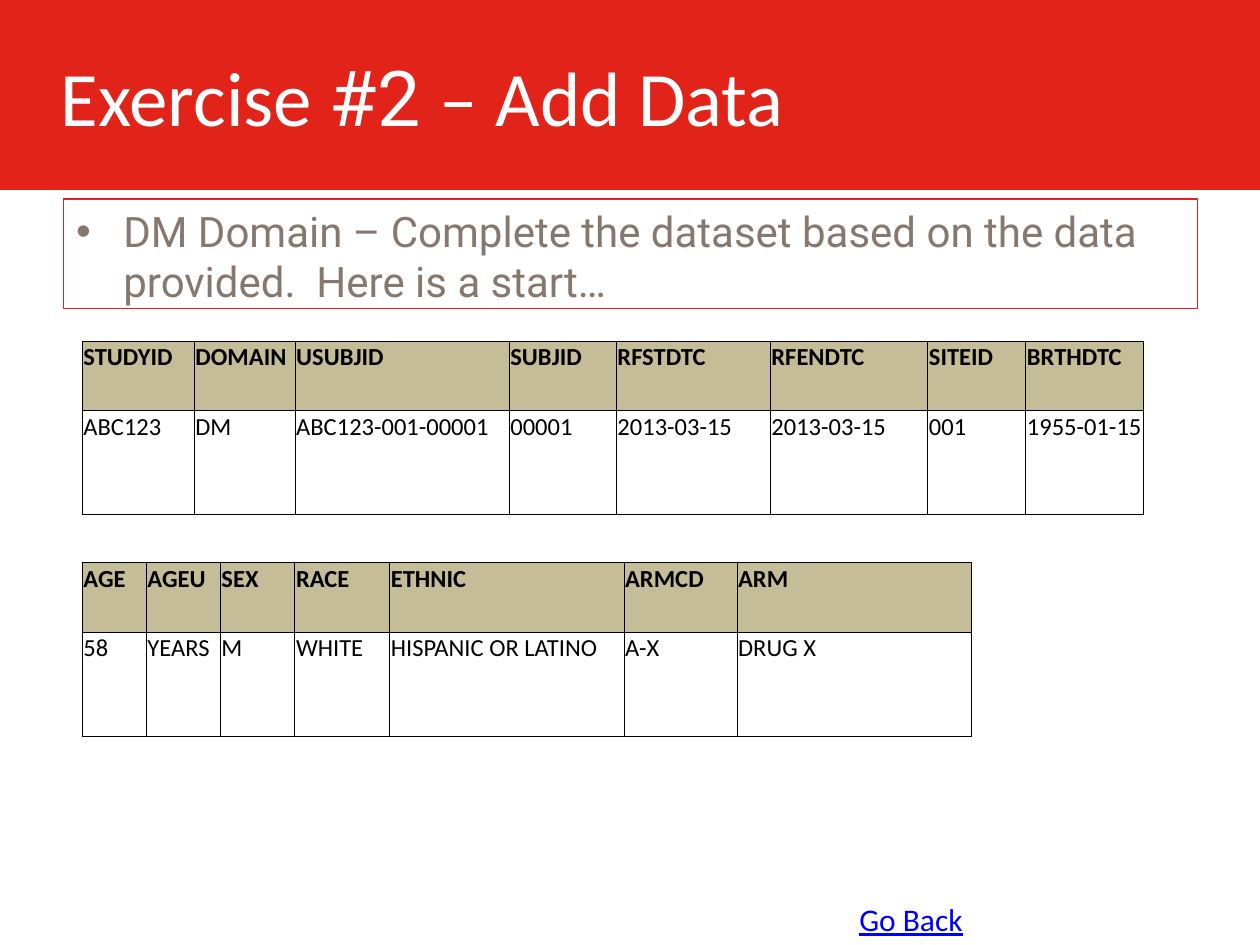
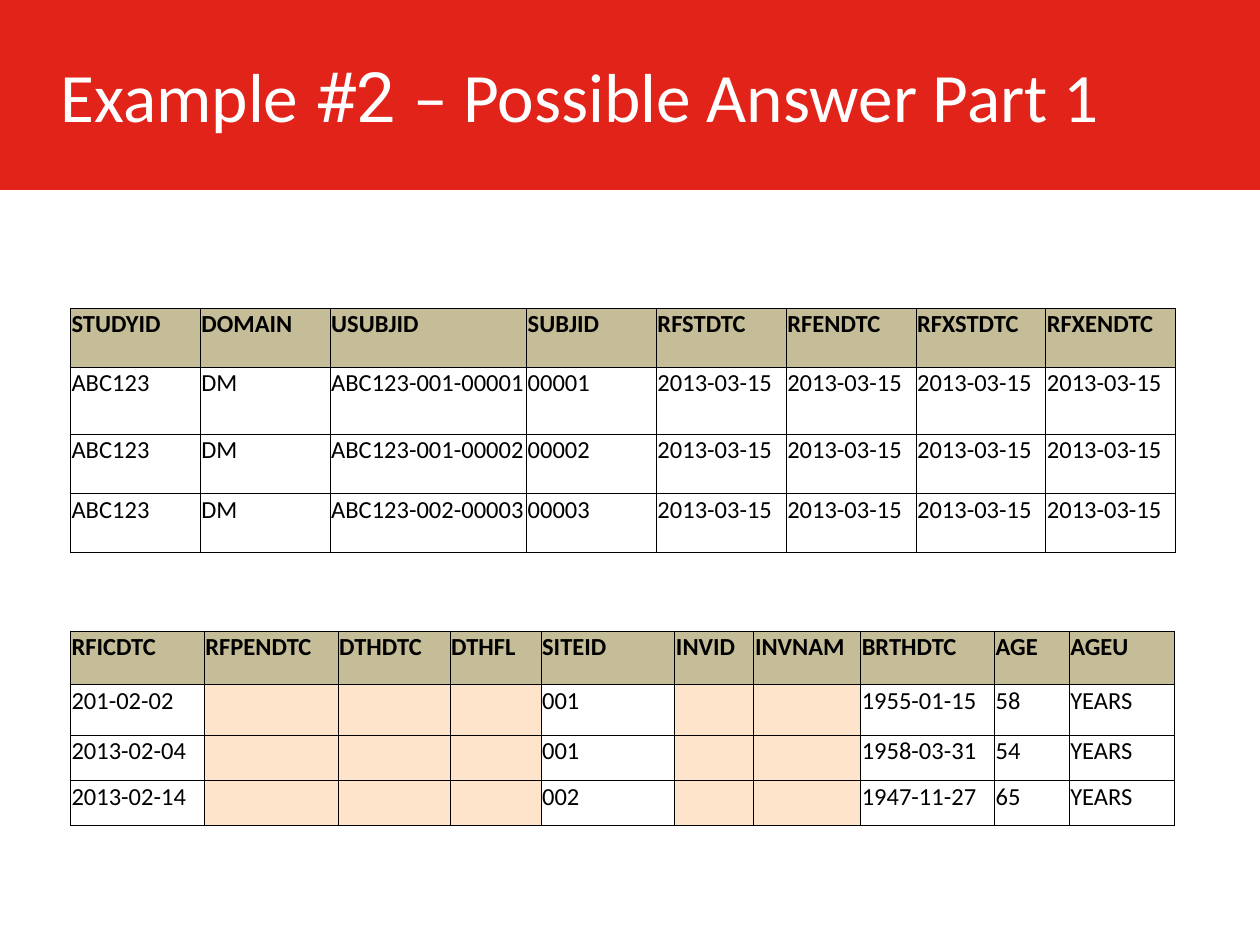
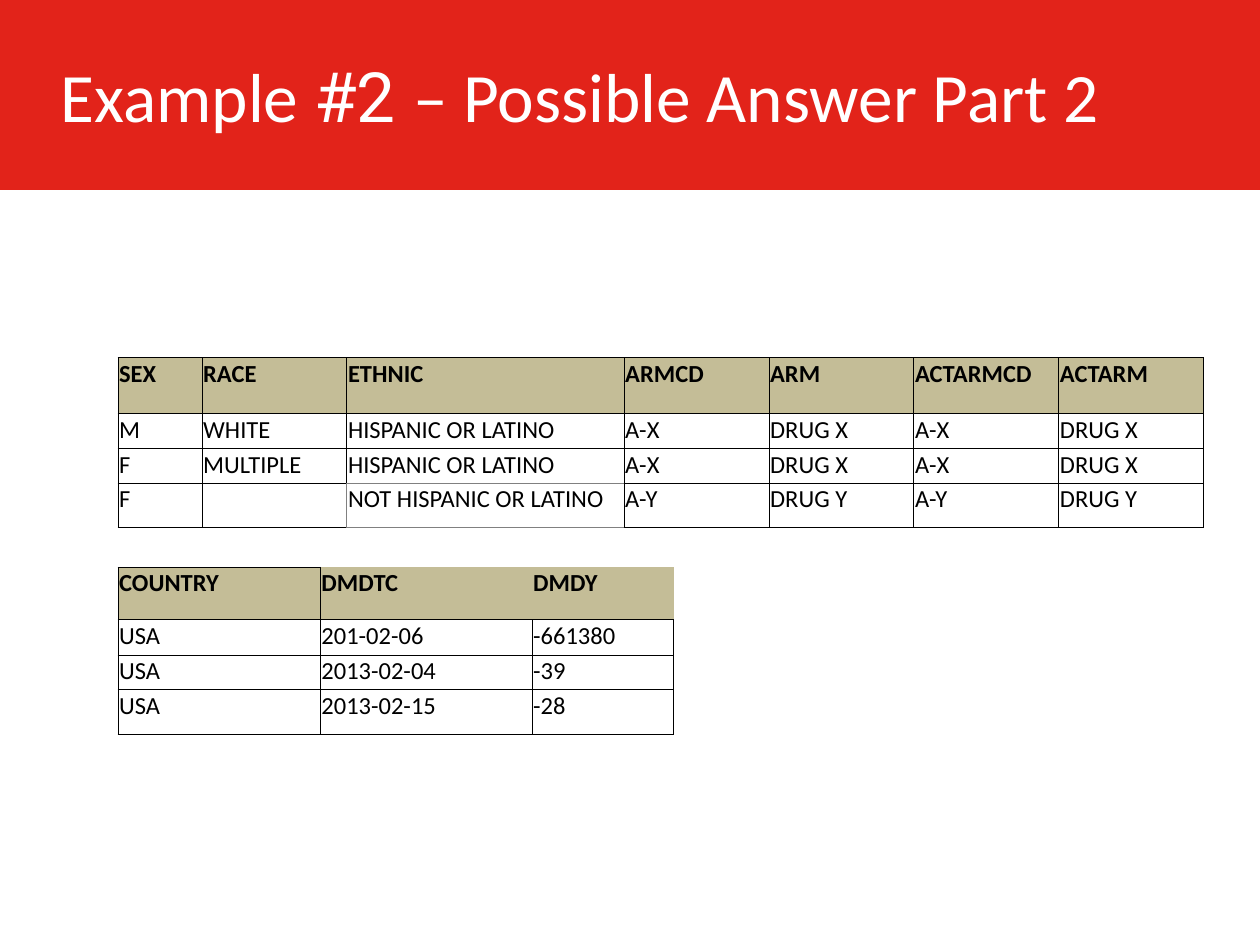
"""Build three slides on completing a demographics (DM) dataset."""
from lxml import etree
from pptx import Presentation
from pptx.dml.color import RGBColor
from pptx.enum import shapes, text
from pptx.oxml import ns
from pptx.util import Pt

RED = RGBColor(0xE2, 0x23, 0x1A)
WHITE = RGBColor(0xFF, 0xFF, 0xFF)
BLACK = RGBColor(0, 0, 0)
GRAY = RGBColor(0x80, 0x80, 0x80)
TAUPE = RGBColor(0x86, 0x78, 0x6F)
TAN = RGBColor(0xC4, 0xBD, 0x97)
PEACH = RGBColor(0xFE, 0xE4, 0xCA)
BLUE = RGBColor(0, 0, 0xFF)
SANS, ACCENT = "Calibri", "Roboto"
SIDES = ("L", "R", "T", "B")
DAY = "2013-03-15"

START_IDS = [
    ["STUDYID", "DOMAIN", "USUBJID", "SUBJID", "RFSTDTC", "RFENDTC", "SITEID", "BRTHDTC"],
    ["ABC123", "DM", "ABC123-001-00001", "00001", DAY, DAY, "001", "1955-01-15"],
]
START_TRAITS = [
    ["AGE", "AGEU", "SEX", "RACE", "ETHNIC", "ARMCD", "ARM"],
    ["58", "YEARS", "M", "WHITE", "HISPANIC OR LATINO", "A-X", "DRUG X"],
]
ANSWER_IDS = [
    ["STUDYID", "DOMAIN", "USUBJID", "SUBJID", "RFSTDTC", "RFENDTC", "RFXSTDTC", "RFXENDTC"],
] + [["ABC123", "DM", f"ABC123-{site}-{subject}", subject] + [DAY] * 4
     for site, subject in (("001", "00001"), ("001", "00002"), ("002", "00003"))]
ANSWER_DATES = [
    ["RFICDTC", "RFPENDTC", "DTHDTC", "DTHFL", "SITEID", "INVID", "INVNAM",
     "BRTHDTC", "AGE", "AGEU"],
] + [[consent, "", "", "", site, "", "", birth, age, "YEARS"]
     for consent, site, birth, age in (("201-02-02", "001", "1955-01-15", "58"),
                                       ("2013-02-04", "001", "1958-03-31", "54"),
                                       ("2013-02-14", "002", "1947-11-27", "65"))]
ANSWER_TRAITS = [
    ["SEX", "RACE", "ETHNIC", "ARMCD", "ARM", "ACTARMCD", "ACTARM"],
] + [[sex, race, ethnic] + [code, drug] * 2
     for sex, race, ethnic, code, drug in (
         ("M", "WHITE", "HISPANIC OR LATINO", "A-X", "DRUG X"),
         ("F", "MULTIPLE", "HISPANIC OR LATINO", "A-X", "DRUG X"),
         ("F", "", "NOT HISPANIC OR LATINO", "A-Y", "DRUG Y"))]
ANSWER_COUNTRY = [
    ["COUNTRY", "DMDTC", "DMDY"],
    ["USA", "201-02-06", "-661380"],
    ["USA", "2013-02-04", "-39"],
    ["USA", "2013-02-15", "-28"],
]
TRAIT_BORDERS = {(2, 2): {"B": GRAY}, (3, 1): {"R": GRAY},
                 (3, 2): {"L": GRAY, "T": GRAY, "B": GRAY}}
COUNTRY_BORDERS = {(0, 1): {"T": None, "R": None},
                   (0, 2): {"L": None, "T": None, "R": None}}


def style_run(r, size, color, font=SANS, bold=False):
    """Set the font of a run."""
    r.font.name, r.font.size, r.font.bold = font, Pt(size), bold
    r.font.color.rgb = color


def add_title_band(s, words, size):
    """Add the red band and its title, whose middle run has the accent font."""
    band = s.shapes.add_shape(shapes.MSO_SHAPE.RECTANGLE, 0, 0, Pt(720), Pt(108.6))
    band.shadow.inherit = False
    band.fill.solid()
    band.fill.fore_color.rgb = RED
    band.line.fill.background()
    tf = s.shapes.add_textbox(Pt(27.6), Pt(9.4), Pt(669), Pt(90)).text_frame
    tf.word_wrap = True
    tf.vertical_anchor = text.MSO_ANCHOR.MIDDLE
    tf.margin_left = tf.margin_right = tf.margin_top = tf.margin_bottom = Pt(7.2)
    for part, font in zip(words, (SANS, ACCENT, SANS)):
        r = tf.paragraphs[0].add_run()
        r.text = part
        style_run(r, size, WHITE, font)


def add_task(s, left, top, width, height, task):
    """Add the outlined box with a bulleted task."""
    sp = s.shapes.add_shape(shapes.MSO_SHAPE.RECTANGLE, Pt(left), Pt(top), Pt(width), Pt(height))
    sp.shadow.inherit = False
    sp.fill.background()
    sp.line.color.rgb = RED
    sp.line.width = Pt(0.75)
    tf = sp.text_frame
    tf.text = task
    tf.vertical_anchor = text.MSO_ANCHOR.TOP
    p = tf.paragraphs[0]
    p.alignment = text.PP_ALIGN.LEFT
    props = p._p.get_or_add_pPr()
    props.set("marL", str(Pt(27)))
    props.set("indent", str(-Pt(27)))
    etree.SubElement(props, ns.qn("a:buFont")).set("typeface", "Arial")
    etree.SubElement(props, ns.qn("a:buChar")).set("char", "•")
    style_run(p.runs[0], 24, TAUPE, ACCENT)


def add_back_label(s, left, top, width, height):
    """Add the underlined label that leads back."""
    tf = s.shapes.add_textbox(Pt(left), Pt(top), Pt(width), Pt(height)).text_frame
    tf.word_wrap = True
    tf.text = "Go Back"
    r = tf.paragraphs[0].runs[0]
    style_run(r, 18, BLUE)
    r.font.underline = True


def set_borders(cell, colors):
    """Draw each side of a cell in its colour, or leave it out if None."""
    props = cell._tc.get_or_add_tcPr()
    for side in SIDES:
        ln = etree.SubElement(props, ns.qn(f"a:ln{side}"), w=str(Pt(0.5)))
        if colors[side] is None:
            etree.SubElement(ln, ns.qn("a:noFill"))
        else:
            fill = etree.SubElement(ln, ns.qn("a:solidFill"))
            etree.SubElement(fill, ns.qn("a:srgbClr")).set("val", str(colors[side]))


def add_dataset(s, left, top, widths, heights, rows, blank_fill=None, borders={}):
    """Add a dataset table with a tan header row."""
    table = s.shapes.add_table(len(rows), len(widths), Pt(left), Pt(top),
                               Pt(sum(widths)), Pt(sum(heights))).table
    table.first_row = table.horz_banding = False
    for column, width in zip(table.columns, widths):
        column.width = Pt(width)
    for i, (row, height) in enumerate(zip(rows, heights)):
        table.rows[i].height = Pt(height)
        for j, value in enumerate(row):
            cell = table.cell(i, j)
            cell.margin_left = cell.margin_right = cell.margin_top = Pt(0.7)
            cell.margin_bottom = 0
            set_borders(cell, dict.fromkeys(SIDES, BLACK) | borders.get((i, j), {}))
            fill = TAN if i == 0 else None if value else blank_fill
            if fill is None:
                cell.fill.background()
            else:
                cell.fill.solid()
                cell.fill.fore_color.rgb = fill
            if value:
                cell.text = value
                style_run(cell.text_frame.paragraphs[0].runs[0], 14, BLACK, bold=i == 0)


def build_exercise(s):
    """Fill the exercise slide."""
    add_title_band(s, ("Exercise ", "#2 ", "– Add Data"), 44)
    add_task(s, 36.4, 113.8, 648, 62.6,
             "DM Domain – Complete the dataset based on the data provided.  Here is a start…")
    add_back_label(s, 484, 510.5, 119, 29)
    heights = (39.6, 59.6)
    add_dataset(s, 47, 195, (64, 57.6, 122.4, 61.2, 88, 90, 56, 67.4), heights, START_IDS)
    add_dataset(s, 47, 321.6, (36.6, 42.3, 42.6, 54.2, 133.9, 64.6, 134.2), heights, START_TRAITS)


def build_answer_one(s):
    """Fill the first answer slide."""
    add_title_band(s, ("Example ", "#2 ", "– Possible Answer Part 1"), 39.6)
    add_dataset(s, 40.2, 176.2, [74.2] * 2 + [112.3] + [74.2] * 5,
                (33.7, 38.3, 33.9, 33.7), ANSWER_IDS)
    add_dataset(s, 40.2, 360.8, (76.5, 76.5, 64, 52, 76.5, 45.2, 61, 76.5, 42.7, 60.4),
                (30.4, 29, 26, 25.3), ANSWER_DATES, blank_fill=PEACH)


def build_answer_two(s):
    """Fill the second answer slide."""
    add_title_band(s, ("Example ", "#2 ", "– Possible Answer Part 2"), 39.6)
    add_dataset(s, 67.4, 204.4, [48, 82.8, 158.4] + [82.8] * 4,
                (32, 20, 19.8, 25.2), ANSWER_TRAITS, borders=TRAIT_BORDERS)
    add_dataset(s, 67.4, 324.2, (115.6, 121, 81),
                (30, 20.3, 19.6, 25.5), ANSWER_COUNTRY, borders=COUNTRY_BORDERS)


def main():
    """Build and save the presentation."""
    prs = Presentation()
    prs.slide_width, prs.slide_height = Pt(720), Pt(540)
    for build in (build_exercise, build_answer_one, build_answer_two):
        build(prs.slides.add_slide(prs.slide_layouts[6]))
    prs.save("out.pptx")


if __name__ == "__main__":
    main()
